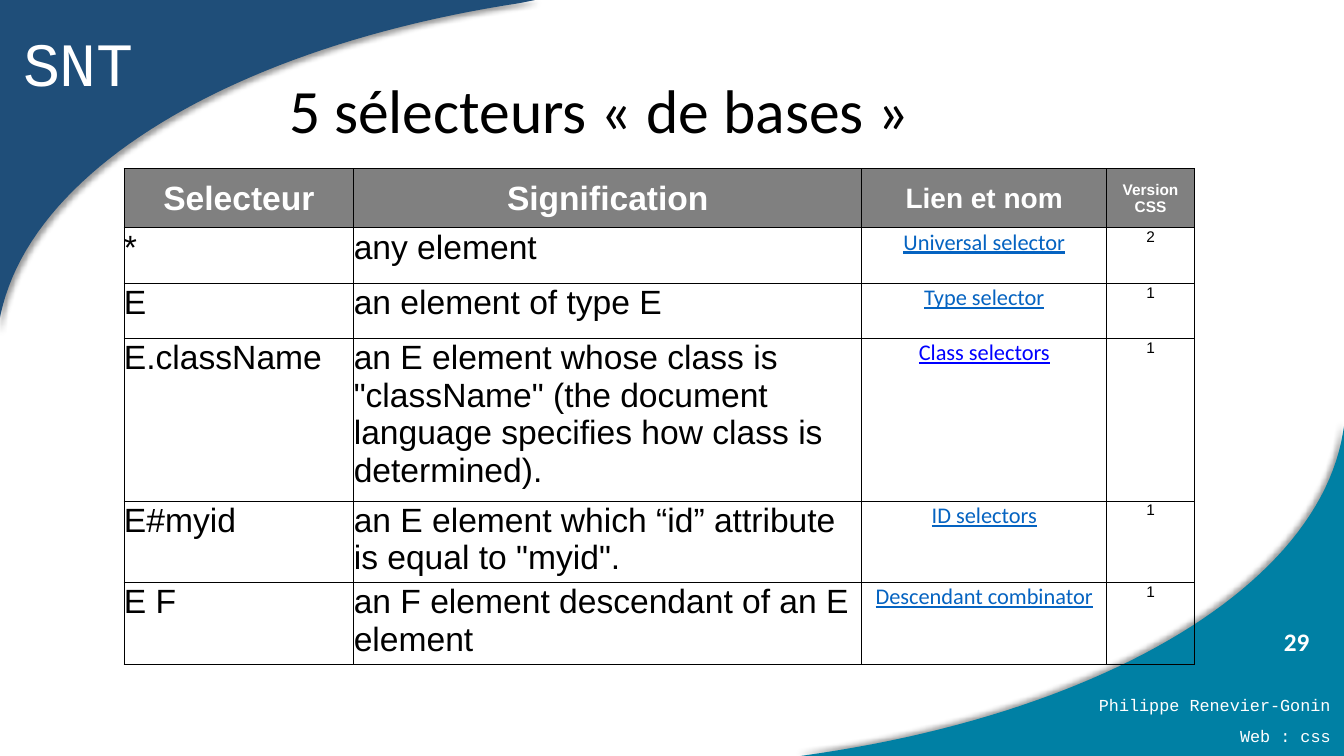
from lxml import etree
from pptx import Presentation
from pptx.dml.color import RGBColor
from pptx.enum.shapes import MSO_SHAPE
from pptx.enum.text import MSO_ANCHOR, PP_ALIGN
from pptx.oxml import parse_xml
from pptx.oxml.ns import qn
from pptx.util import Inches, Pt

OVAL = MSO_SHAPE.OVAL
TOP, MIDDLE = MSO_ANCHOR.TOP, MSO_ANCHOR.MIDDLE
LEFT, CENTER, RIGHT = PP_ALIGN.LEFT, PP_ALIGN.CENTER, PP_ALIGN.RIGHT
NS = "http://schemas.openxmlformats.org/drawingml/2006/main"

WIDE, HIGH = 160, 90
COLORS = {
    "navy": "1F4E79", "teal": "0080A4", "gray": "808080", "white": "FFFFFF",
    "black": "000000", "link": "0563C1", "blue": "0000FF",
}
CURVE = [(62.2, 0.36), (28.2, 5.52), (3.1, 20.4), (0.12, 38.5)]
STEPS = 48

COLS = [27.36, 60.48, 29.16, 10.44]
ROWS = [7.08, 6.6, 6.6, 17.9, 9.04, 9.04]
HEADS = [("Selecteur", 24), ("Signification", 24), ("Lien et nom", 20), ("Version CSS", 11)]
BODY = [
    ("*", "any element", "Universal selector", "2", "link"),
    ("E", "an element of type E", "Type selector", "1", "link"),
    ("E.className",
     'an E element whose class is "className" (the document language specifies how class is determined).',
     "Class selectors", "1", "blue"),
    ("E#myid", 'an E element which “id” attribute is equal to "myid".', "ID selectors", "1", "link"),
    ("E F", "an F element descendant of an E element", "Descendant combinator", "1", "link"),
]


def grid(*units):
    return [Inches(unit / 12) for unit in units]


def color(name):
    return RGBColor.from_string(COLORS[name])


def write(frame, text, font, size, tint, align=LEFT, bold=False, line=False):
    para = frame.paragraphs[0]
    para.text = text
    para.alignment = align
    para.font.name = font
    para.font.size = Pt(size)
    para.font.color.rgb = color(tint)
    para.font.bold = bold
    para.font.underline = line
    return para


def label(slide, place, text, font, size, tint, align=LEFT, wrap=True, anchor=TOP):
    frame = slide.shapes.add_textbox(*grid(*place)).text_frame
    frame.word_wrap = wrap
    frame.vertical_anchor = anchor
    return write(frame, text, font, size, tint, align)


def bend(t):
    parts = [(1 - t) ** 3, 3 * t * (1 - t) ** 2, 3 * t * t * (1 - t), t ** 3]
    return [sum(part * point[axis] for part, point in zip(parts, CURVE)) for axis in (0, 1)]


def corner(slide, x, y, sign, reach, tint, angle):
    edge = [(reach, 0)] + [bend(i / STEPS) for i in range(STEPS + 1)] + [(0, 39.24)]
    points = [grid(x + sign * dx, y + sign * dy) for dx, dy in edge]
    build = slide.shapes.build_freeform(*grid(x, y))
    build.add_line_segments(points, close=True)
    shape = build.convert_to_shape()
    shape.fill.solid()
    shape.fill.fore_color.rgb = color(tint)
    shape.line.fill.background()
    shape.shadow.inherit = False
    cast = shape._element.spPr.find(qn("a:effectLst"))
    cast.append(parse_xml(
        f'<a:outerShdw xmlns:a="{NS}" blurRad="{Pt(4)}" dist="{Pt(3)}" dir="{angle * 60000}" '
        f'algn="ctr" rotWithShape="0"><a:srgbClr val="{COLORS["black"]}">'
        '<a:alpha val="40000"/></a:srgbClr></a:outerShdw>'))


def badge(slide, place, text):
    shape = slide.shapes.add_shape(OVAL, *grid(*place))
    shape.fill.background()
    shape.line.fill.background()
    shape.shadow.inherit = False
    shape.text_frame.vertical_anchor = MIDDLE
    write(shape.text_frame, text, "Calibri", 18, "white", bold=True)


def frame_cell(cell):
    cell.margin_left = cell.margin_right = cell.margin_bottom = 0
    cell.margin_top = Inches(0.01)
    props = cell._tc.get_or_add_tcPr()
    for side in ("lnL", "lnR", "lnT", "lnB"):
        line = etree.SubElement(props, qn(f"a:{side}"), w=str(Pt(0.5)))
        fill = etree.SubElement(line, qn("a:solidFill"))
        etree.SubElement(fill, qn("a:srgbClr"), val=COLORS["black"])


def add_grid(slide, x, y):
    place = grid(x, y, sum(COLS), sum(ROWS))
    table = slide.shapes.add_table(len(ROWS), len(COLS), *place).table
    table.first_row = table.horz_banding = False
    for col, width in zip(table.columns, grid(*COLS)):
        col.width = width
    for row, height in zip(table.rows, grid(*ROWS)):
        row.height = height
    for cell in table.iter_cells():
        frame_cell(cell)
        cell.fill.background()
    for i, (text, size) in enumerate(HEADS):
        cell = table.cell(0, i)
        cell.fill.solid()
        cell.fill.fore_color.rgb = color("gray")
        cell.vertical_anchor = MIDDLE
        write(cell.text_frame, text, "Arial", size, "white", CENTER, bold=True)
    for i, (code, sense, name, level, tint) in enumerate(BODY, 1):
        frames = [table.cell(i, j).text_frame for j in range(len(COLS))]
        write(frames[0], code, "Arial", 24, "black")
        write(frames[1], sense, "Arial", 24, "black")
        write(frames[2], name, "Calibri", 16, tint, CENTER, line=True)
        write(frames[3], level, "Arial", 11, "black", CENTER)


def main():
    deck = Presentation()
    deck.slide_width, deck.slide_height = grid(WIDE, HIGH)
    slide = deck.slides.add_slide(deck.slide_layouts[6])
    corner(slide, WIDE, HIGH, -1, 64.68, "teal", 225)
    corner(slide, -0.24, 0, 1, 63.96, "navy", 45)
    label(slide, (1.56, 2.4, 15.72, 10.08), "SNT", "Courier New", 44, "white", wrap=False)
    for y, text in ((82.08, "Philippe Renevier-Gonin"), (85.8, "Web : css")):
        label(slide, (107.04, y, 52.56, 3.6), text, "Courier New", 12, "white", RIGHT)
    badge(slide, (150.24, 71.64, 9.72, 9.36), "29")
    title = label(slide, (33.24, 4.8, 115.68, 17.4), "5 sélecteurs « de bases »",
                  "Calibri", 44, "black", anchor=MIDDLE)
    title.line_spacing = 0.9
    add_grid(slide, 14.76, 20.04)
    deck.save("out.pptx")


if __name__ == "__main__":
    main()
